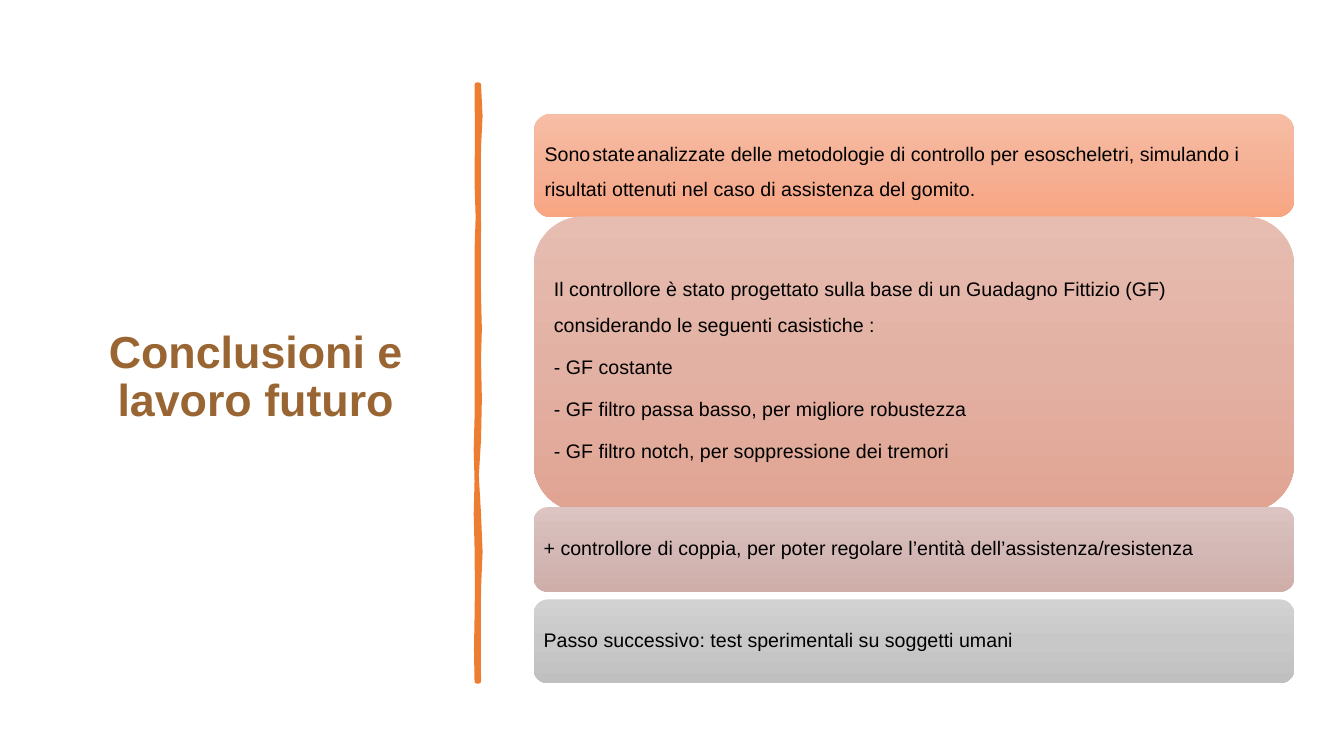
from copy import deepcopy
from dataclasses import dataclass

from pptx import Presentation
from pptx.dml.color import RGBColor
from pptx.enum.shapes import MSO_SHAPE
from pptx.enum.text import MSO_ANCHOR, PP_ALIGN
from pptx.util import Pt

ROUNDED = MSO_SHAPE.ROUNDED_RECTANGLE
MIDDLE = MSO_ANCHOR.MIDDLE
LEFT, CENTER = PP_ALIGN.LEFT, PP_ALIGN.CENTER

COLORS = {"title": "996633", "text": "000000", "divider": "ED7D31"}
FONT = "Arial"
BODY_SIZE = 14
SMALL_SPACE = (" ", 5)
CARD_LEFT, CARD_WIDTH = 381.2, 543.3
CARD_INSET = 4.2


@dataclass(frozen=True)
class Span:
    text: str
    size: float = BODY_SIZE
    color: str = "text"
    bold: bool = False


@dataclass(frozen=True)
class Card:
    top: float
    height: float
    gradient: tuple[str, str, str]
    line_spacing: float
    paragraphs: list[list[Span]]


CARDS = [
    Card(81.2, 73.8, ("F7BDA5", "F5B196", "F8A582"), 1.5, [[
        Span("Sono"), Span(*SMALL_SPACE), Span("state"), Span(*SMALL_SPACE),
        Span("analizzate delle metodologie di controllo per esoscheletri, "
             "simulando i risultati ottenuti nel caso di assistenza del gomito."),
    ]]),
    Card(154.6, 211, ("E7BDB1", "E2B1A3", "E1A493"), 1.5, [
        [Span("Il controllore è stato progettato sulla base di un Guadagno Fittizio (GF) "
              "considerando le seguenti casistiche :")],
        [Span("- GF costante")],
        [Span("- GF filtro passa basso, per migliore robustezza")],
        [Span("- GF filtro notch, per soppressione dei tremori")],
    ]),
    Card(362.2, 60.4, ("DBC4C1", "D3B8B5", "CFAEA9"), 0.9, [
        [Span("+ controllore di coppia, per poter regolare l’entità "
              "dell’assistenza/resistenza")],
    ]),
    Card(428.2, 59.8, ("D2D2D2", "C8C8C8", "C0C0C0"), 0.9, [
        [Span("Passo successivo: test sperimentali su soggetti umani")],
    ]),
]

# Hand-drawn divider: outline points, down the right edge and up the left one
DIVIDER_OUTLINE = [
    (342, 60.5), (343.1, 83), (342, 105.1), (341.8, 133.5), (342, 162.7),
    (341.8, 187), (342, 211.7), (342.6, 235), (342, 256.3), (342.6, 285),
    (342, 313.9), (340.4, 340), (342, 367.2), (343.1, 394), (342, 420.5),
    (341.8, 453), (342, 486.7), (340.6, 486.7), (340.2, 464), (340.6, 441.4),
    (340.9, 420), (340.6, 391), (340, 367), (340.6, 343.4), (340, 321),
    (340.6, 298.8), (340.6, 270), (340.6, 241.2), (340.6, 210.5),
    (340.6, 180), (341.4, 155), (340.6, 130.3), (340.9, 95.9), (340.6, 60.5),
]


def rgb(value: str) -> RGBColor:
    return RGBColor.from_string(value)


def set_values(target, values: dict) -> None:
    for name, value in values.items():
        setattr(target, name, value)


def write_text(box, paragraphs: list[list[Span]], inset: float, layout: dict) -> None:
    frame = box.text_frame
    set_values(frame, {
        "word_wrap": True, "vertical_anchor": MIDDLE,
        "margin_left": Pt(inset), "margin_right": Pt(inset),
        "margin_top": Pt(inset), "margin_bottom": Pt(inset),
    })
    for index, spans in enumerate(paragraphs):
        para = frame.add_paragraph() if index else frame.paragraphs[0]
        set_values(para, layout)
        for span in spans:
            run = para.add_run()
            run.text = span.text
            set_values(run.font, {"name": FONT, "size": Pt(span.size), "bold": span.bold})
            run.font.color.rgb = rgb(COLORS[span.color])


def fill_gradient(shape, colors: tuple[str, str, str]) -> None:
    fill = shape.fill
    fill.gradient()
    fill.gradient_angle = 270
    # The default gradient has two stops; a third goes between them
    stop_list = shape._element.spPr.gradFill.gsLst
    stop_list.insert(1, deepcopy(stop_list[0]))
    for stop, position, color in zip(fill.gradient_stops, (0, 0.5, 1), colors):
        stop.position = position
        stop.color.rgb = rgb(color)


def draw_card(page, card: Card) -> None:
    box = page.shapes.add_shape(
        ROUNDED, Pt(CARD_LEFT), Pt(card.top), Pt(CARD_WIDTH), Pt(card.height))
    box.shadow.inherit = False
    box.line.fill.background()
    fill_gradient(box, card.gradient)
    write_text(box, card.paragraphs, CARD_INSET, {
        "alignment": LEFT, "line_spacing": card.line_spacing,
        "space_after": Pt(0.35 * BODY_SIZE),
    })


def draw_divider(page) -> None:
    start, *rest = [(Pt(x), Pt(y)) for x, y in DIVIDER_OUTLINE]
    builder = page.shapes.build_freeform(*start)
    builder.add_line_segments(rest, close=True)
    divider = builder.convert_to_shape()
    divider.shadow.inherit = False
    divider.fill.solid()
    for paint in (divider.fill.fore_color, divider.line.color):
        paint.rgb = rgb(COLORS["divider"])
    divider.line.width = Pt(3.25)


def main() -> None:
    deck = Presentation()
    set_values(deck, {"slide_width": Pt(960), "slide_height": Pt(540)})
    page = deck.slides.add_slide(deck.slide_layouts[6])

    # Title
    title = page.shapes.add_textbox(Pt(23.6), Pt(50.1), Pt(318.2), Pt(439.9))
    write_text(title, [[Span("Conclusioni e lavoro futuro", 32, "title", True)]], 7.2,
               {"alignment": CENTER, "line_spacing": 0.9})

    # Divider and cards
    draw_divider(page)
    for card in CARDS:
        draw_card(page, card)

    deck.save("out.pptx")


if __name__ == "__main__":
    main()
